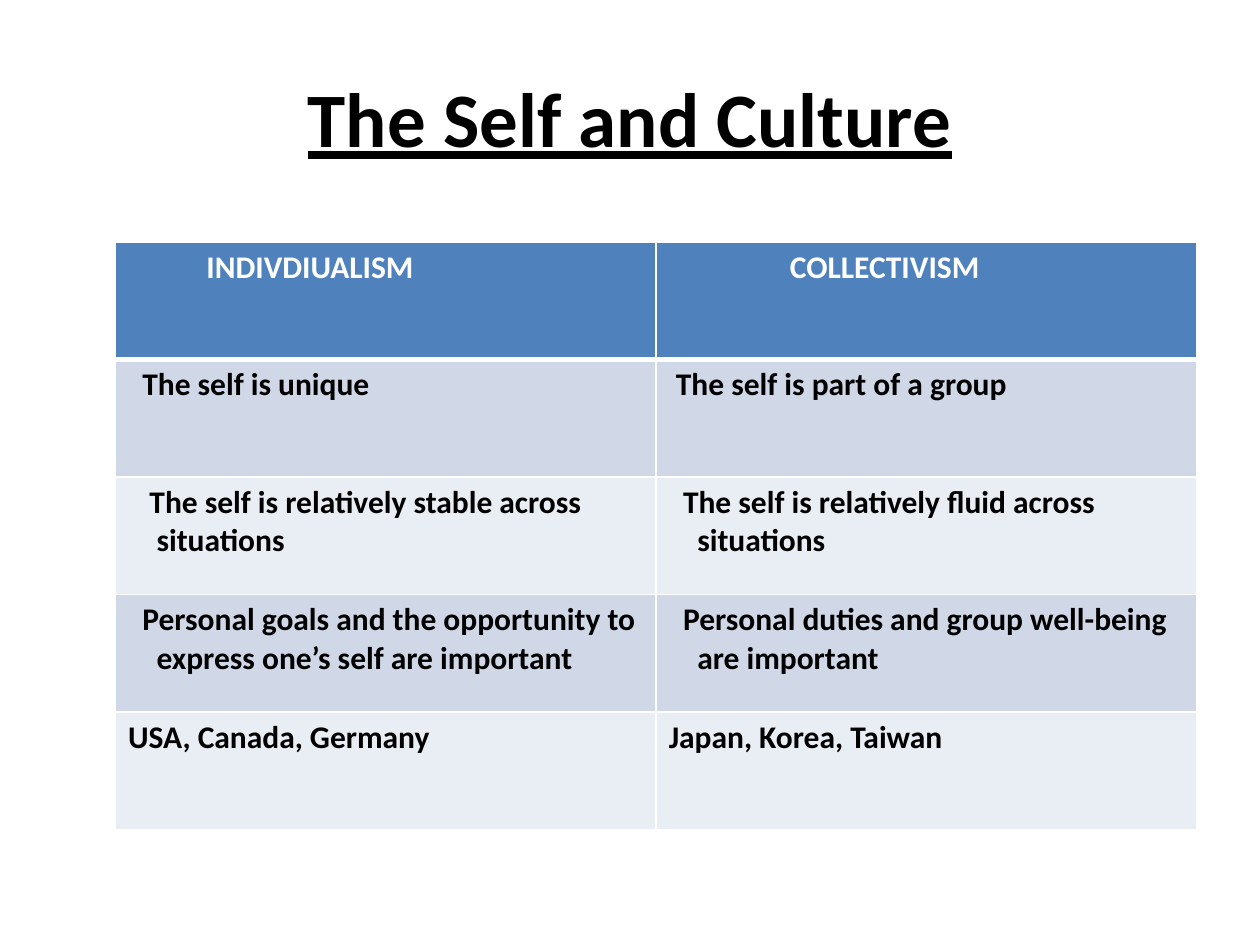
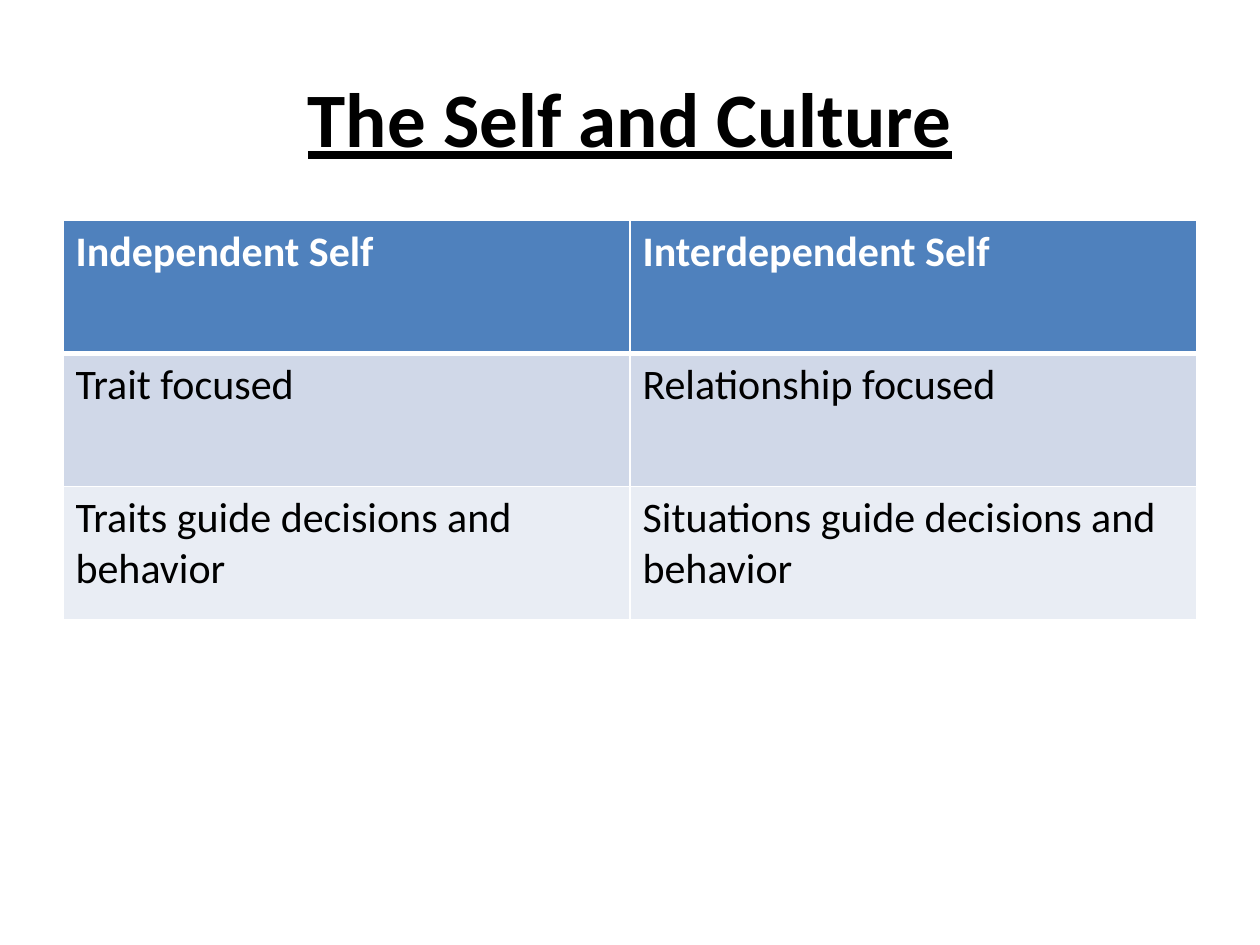
from lxml import etree
from pptx import Presentation
from pptx.dml.color import RGBColor
from pptx.enum.text import MSO_ANCHOR, PP_ALIGN
from pptx.oxml.ns import qn
from pptx.util import Pt

MIDDLE = MSO_ANCHOR.MIDDLE
CENTER = PP_ALIGN.CENTER
FONT = "Calibri"
BLACK, WHITE = "000000", "FFFFFF"
HEADER_FILL = "4F81BD"
BAND_FILLS = ("D0D8E8", "E9EDF4")
THIN, THICK = 1, 3
INDENT_STEP = 4.07
TITLE_BOX = (36, 21.6, 648, 90)
TITLE_FORMAT = {"name": FONT, "size": Pt(44), "bold": True, "underline": True}

CULTURE_ROWS = [
    ([(11, "INDIVDIUALISM")], [(17, "COLLECTIVISM")]),
    ([(2, "The self is unique")], [(1, "The self is part of a group")]),
    ([(3, "The self is relatively stable across"), (4, "situations")],
     [(2, "The self is relatively fluid across"), (4, "situations")]),
    ([(2, "Personal goals and the opportunity to"),
      (4, "express one’s self are important")],
     [(2, "Personal duties and group well-being"), (4, "are important")]),
    ([(0, "USA, Canada, Germany")], [(0, "Japan, Korea, Taiwan")]),
]
SELF_ROWS = [
    ([(0, "Independent Self")], [(0, "Interdependent Self")]),
    ([(0, "Trait focused")], [(0, "Relationship focused")]),
    ([(0, "Traits guide decisions and behavior")],
     [(0, "Situations guide decisions and behavior")]),
]
SLIDES = [
    {"box": (66, 138.25, 618, 336), "rows": CULTURE_ROWS, "size": 18, "body_bold": True},
    {"box": (36, 126, 648, 228), "rows": SELF_ROWS, "size": 24, "body_bold": False},
]


def rgb(value):
    """Turn a hex string into a colour."""
    return RGBColor.from_string(value)


def format_font(font, values, color):
    """Apply a dict of values and a colour to a font."""
    for name, value in values.items():
        setattr(font, name, value)
    font.color.rgb = rgb(color)


def add_title(slide, box, text):
    """Place the centred, underlined title in its box."""
    shape = slide.shapes.add_textbox(*(Pt(length) for length in box))
    frame = shape.text_frame
    frame.word_wrap = True
    frame.vertical_anchor = MIDDLE
    paragraph = frame.paragraphs[0]
    paragraph.text = text
    paragraph.alignment = CENTER
    format_font(paragraph.font, TITLE_FORMAT, BLACK)


def set_borders(cell, widths):
    """Draw white borders of the given widths around a cell."""
    properties = cell._tc.get_or_add_tcPr()
    for position, (side, width) in enumerate(widths.items()):
        line = etree.Element(qn(f"a:ln{side}"), w=str(Pt(width)))
        fill = etree.SubElement(line, qn("a:solidFill"))
        etree.SubElement(fill, qn("a:srgbClr"), val=WHITE)
        properties.insert(position, line)


def fill_cell(cell, lines, values, color, fill):
    """Write indented lines into a cell and colour it."""
    cell.fill.solid()
    cell.fill.fore_color.rgb = rgb(fill)
    frame = cell.text_frame
    for number, (steps, text) in enumerate(lines):
        paragraph = frame.add_paragraph() if number else frame.paragraphs[0]
        paragraph.text = text
        if steps:
            paragraph._p.get_or_add_pPr().set("marL", str(Pt(steps * INDENT_STEP)))
        format_font(paragraph.font, values, color)


def add_comparison(slide, box, rows, size, body_bold):
    """Place a two-column comparison with equal rows and columns in its box."""
    table = slide.shapes.add_table(
        len(rows), len(rows[0]), *(Pt(length) for length in box)).table
    table.horz_banding = False
    for column in table.columns:
        column.width = Pt(box[2] / len(rows[0]))
    for index, cells in enumerate(rows):
        table.rows[index].height = Pt(box[3] / len(rows))
        header = index == 0
        values = {"name": FONT, "size": Pt(size), "bold": header or body_bold}
        color = WHITE if header else BLACK
        fill = HEADER_FILL if header else BAND_FILLS[(index - 1) % 2]
        widths = {"L": THIN, "R": THIN, "T": THICK if index == 1 else THIN,
                  "B": THICK if header else THIN}
        for column, lines in enumerate(cells):
            cell = table.cell(index, column)
            fill_cell(cell, lines, values, color, fill)
            set_borders(cell, widths)


def main():
    """Build both slides and save the presentation."""
    presentation = Presentation()
    presentation.slide_width, presentation.slide_height = Pt(720), Pt(540)
    for content in SLIDES:
        slide = presentation.slides.add_slide(presentation.slide_layouts[6])
        add_title(slide, TITLE_BOX, "The Self and Culture")
        add_comparison(slide, **content)
    presentation.save("out.pptx")


if __name__ == "__main__":
    main()
